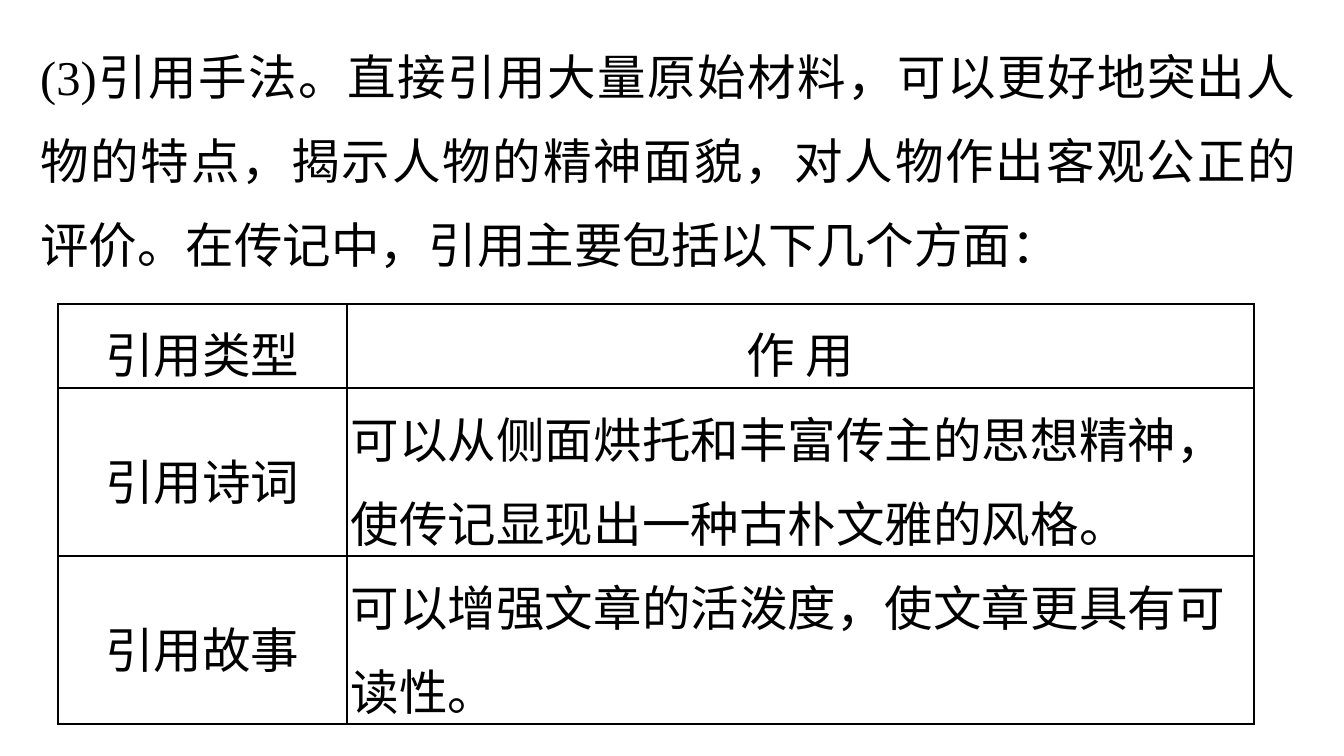
from lxml import etree
from pptx import Presentation
from pptx import util as u
from pptx.dml.color import RGBColor
from pptx.enum import text
from pptx.oxml import ns

BLACK = RGBColor(0, 0, 0)
FONT = "Times New Roman"
LEAD = u.Pt(45)  # one line of text
LEFT, MID = text.PP_ALIGN.LEFT, text.PP_ALIGN.CENTER

INTRO = ("(3)引用手法。直接引用大量原始材料，可以更好地突出人物的特点，"
         "揭示人物的精神面貌，对人物作出客观公正的评价。"
         "在传记中，引用主要包括以下几个方面：")
ROWS = [
    ("引用类型", "作 用", 1),
    ("引用诗词", "可以从侧面烘托和丰富传主的思想精神，使传记显现出一种古朴文雅的风格。", 2),
    ("引用故事", "可以增强文章的活泼度，使文章更具有可读性。", 2),
]


def write(frame, words, align):
    para = frame.paragraphs[0]
    para.alignment = align
    para.line_spacing = LEAD
    run = para.add_run()
    run.text = words
    run.font.size = u.Pt(26)
    run.font.name = FONT
    run.font.color.rgb = BLACK


def rule(cell):
    """Draw a thin black line on all four sides of the cell."""
    props = cell._tc.get_or_add_tcPr()
    for n, side in enumerate(("lnL", "lnR", "lnT", "lnB")):
        line = etree.Element(ns.qn("a:" + side), w=str(u.Pt(1)))
        fill = etree.SubElement(line, ns.qn("a:solidFill"))
        etree.SubElement(fill, ns.qn("a:srgbClr"), val=str(BLACK))
        props.insert(n, line)


deck = Presentation()
deck.slide_width = u.Inches(10)
deck.slide_height = deck.slide_width * 9 // 16
slide = deck.slides.add_slide(deck.slide_layouts[6])

# Opening paragraph
box = slide.shapes.add_textbox(u.Inches(0.2), u.Inches(0.11),
                               u.Inches(9.55), u.Inches(1.92))
box.text_frame.word_wrap = True
write(box.text_frame, INTRO, text.PP_ALIGN.JUSTIFY)

# Table of quotation types
wide = [u.Inches(2.15), u.Inches(6.75)]
lines = sum(row[2] for row in ROWS)
grid = slide.shapes.add_table(len(ROWS), len(wide), u.Inches(0.43), u.Inches(2.26),
                              sum(wide), LEAD * lines).table
grid.first_row = grid.horz_banding = False
for col, width in zip(grid.columns, wide):
    col.width = width

for r, (kind, use, tall) in enumerate(ROWS):
    grid.rows[r].height = LEAD * tall
    for c, words in enumerate((kind, use)):
        cell = grid.cell(r, c)
        cell.fill.background()
        cell.vertical_anchor = text.MSO_ANCHOR.MIDDLE
        cell.margin_left = cell.margin_right = u.Inches(0.03)
        cell.margin_top = cell.margin_bottom = 0
        write(cell.text_frame, words, LEFT if r and c else MID)
        rule(cell)

deck.save("out.pptx")
